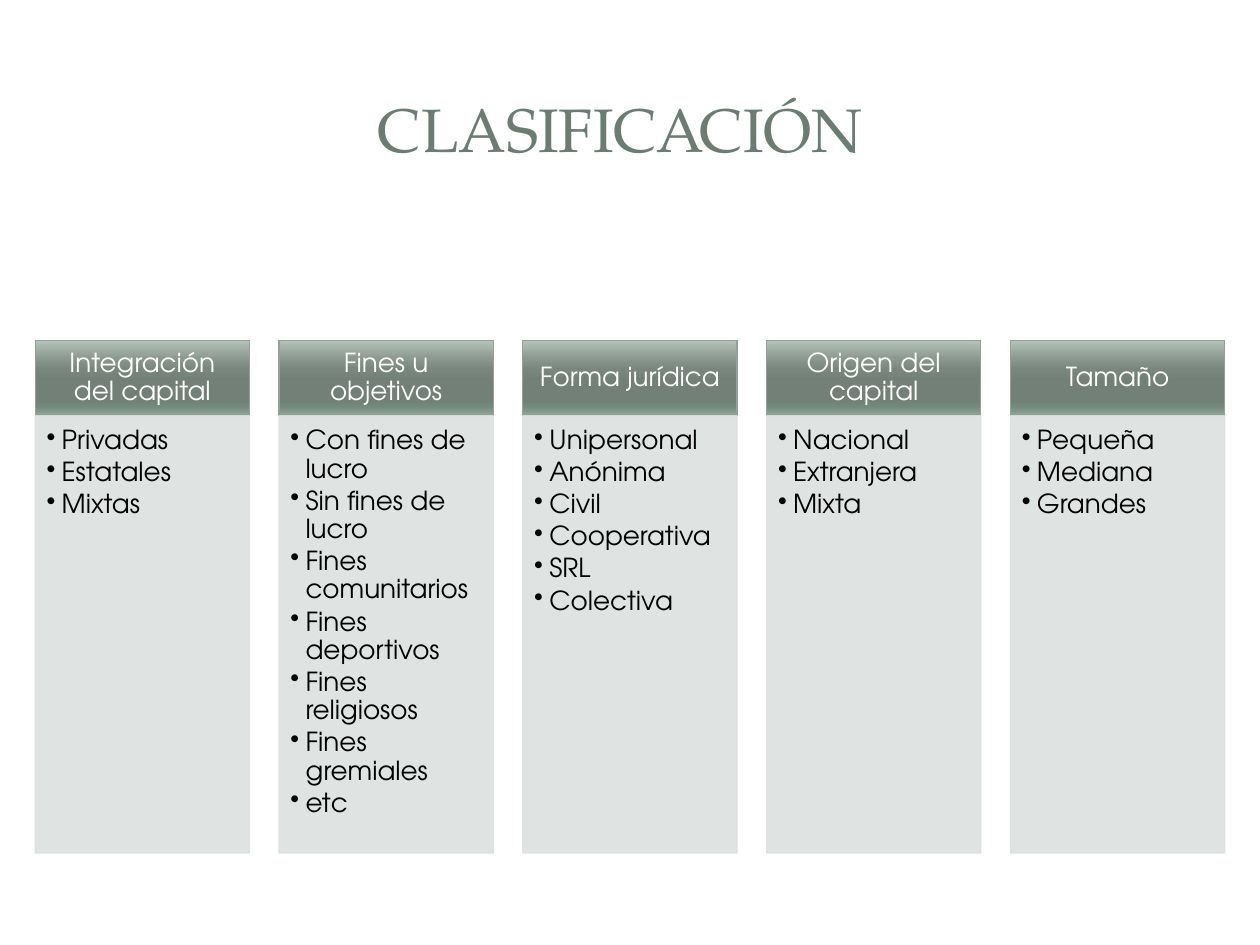
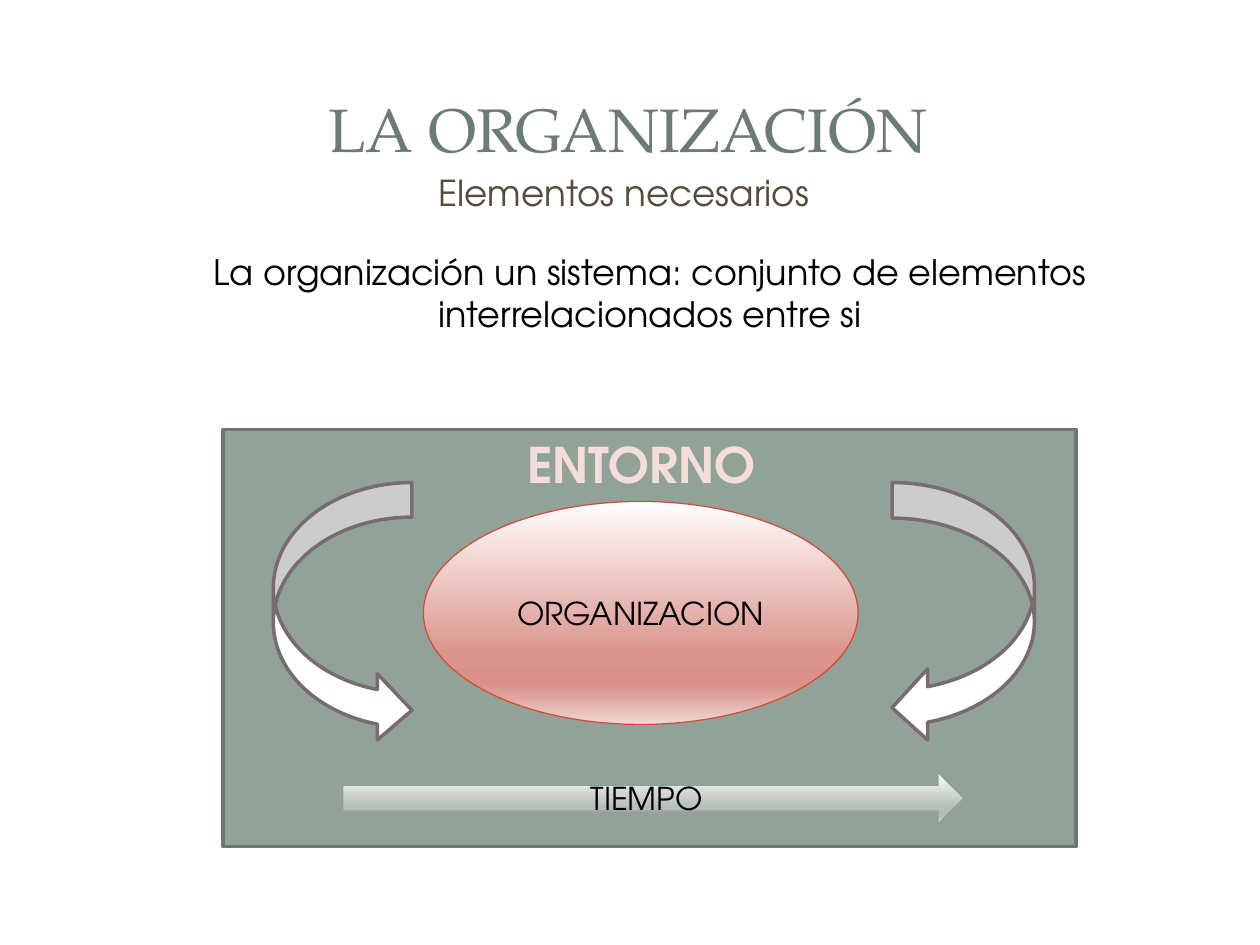
import dataclasses
import pptx
import pptx.dml.color
import pptx.enum.shapes
import pptx.enum.text
import pptx.oxml.ns
import pptx.util
from lxml import etree

Inches = pptx.util.Inches
Pt = pptx.util.Pt
KIND = pptx.enum.shapes.MSO_SHAPE
ALIGN = pptx.enum.text.PP_ALIGN
ANCHOR = pptx.enum.text.MSO_ANCHOR
qn = pptx.oxml.ns.qn

SERIF = "TeX Gyre Pagella"
SANS = "TeX Gyre Adventor"
WHITE, BLACK = "FFFFFF", "000000"
GREEN, SLATE, PALE = "93A299", "6B7D72", "DCE0DE"

HEAD = ((0, "B6C3BB"), (25, "8B9890"), (38, "79867E"), (55, "728078"),
        (80, "708176"), (88, "75887C"), (100, "91A79A"))
ROSE = ((0, "FFFEFE"), (68, "DB958E"), (81, "DA918A"), (86, "DD9D97"),
        (100, "F0D7D5"))
MIST = ((0, "FEFEFE"), (68, "B4BDB7"), (81, "B1BBB5"), (86, "B9C1BC"),
        (100, "E1E4E2"))


@dataclasses.dataclass
class Box:
    left: float
    top: float
    width: float
    height: float


@dataclasses.dataclass
class Style:
    size: float
    color: str = BLACK
    font: str = SANS
    bold: bool = False
    align: ALIGN = ALIGN.CENTER
    anchor: ANCHOR = ANCHOR.TOP
    inset: tuple[float, float, float, float] = (0.1, 0.05, 0.1, 0.05)
    lead: float = 1.0
    before: float = 0
    after: float = 0
    indent: float = 0
    bullet: bool = False


@dataclasses.dataclass
class Column:
    head: str
    items: list[str]


TITLE = Style(35, SLATE, SERIF, anchor=ANCHOR.MIDDLE)
LABEL = Style(18, anchor=ANCHOR.MIDDLE)
TOP = Style(15, WHITE, anchor=ANCHOR.MIDDLE, inset=(0.12, 0.07, 0.12, 0.07), lead=0.9)
LIST = Style(15, align=ALIGN.LEFT, inset=(0.09, 0.09, 0.12, 0.13), lead=0.9,
             after=2.1, indent=0.12, bullet=True)

COLUMNS = [
    Column("Integración del capital", ["Privadas", "Estatales", "Mixtas"]),
    Column("Fines u objetivos", [
        "Con fines de lucro", "Sin fines de lucro", "Fines comunitarios",
        "Fines deportivos", "Fines religiosos", "Fines gremiales", "etc"]),
    Column("Forma jurídica", ["Unipersonal", "Anónima", "Civil", "Cooperativa",
                              "SRL", "Colectiva"]),
    Column("Origen del capital", ["Nacional", "Extranjera", "Mixta"]),
    Column("Tamaño", ["Pequeña", "Mediana", "Grandes"]),
]


def rgb(code: str) -> pptx.dml.color.RGBColor:
    return pptx.dml.color.RGBColor.from_string(code)


def place(box: Box) -> tuple:
    return tuple(Inches(n) for n in dataclasses.astuple(box))


def write(shape, lines: list[str], style: Style) -> None:
    frame = shape.text_frame
    frame.text = "\n".join(lines)
    frame.word_wrap = True
    frame.vertical_anchor = style.anchor
    (frame.margin_left, frame.margin_top,
     frame.margin_right, frame.margin_bottom) = map(Inches, style.inset)
    for para in frame.paragraphs:
        para.alignment = style.align
        para.line_spacing = style.lead
        para.space_before = Pt(style.before)
        para.space_after = Pt(style.after)
        props = para._p.get_or_add_pPr()
        if style.indent:
            props.set("marL", str(Inches(style.indent)))
        if style.bullet:
            props.set("indent", str(-Inches(style.indent)))
            etree.SubElement(props, qn("a:buChar"), char="•")
        for run in para.runs:
            run.font.name = style.font
            run.font.size = Pt(style.size)
            run.font.bold = style.bold
            run.font.color.rgb = rgb(style.color)


def add_text(slide, box: Box, text: str, style: Style) -> None:
    write(slide.shapes.add_textbox(*place(box)), [text], style)


def blend(fill, stops: tuple) -> None:
    fill.gradient()
    fill.gradient_angle = 270
    grad = fill._xPr.find(qn("a:gradFill")).find(qn("a:gsLst"))
    for old in list(grad):
        grad.remove(old)
    for spot, code in stops:
        stop = etree.SubElement(grad, qn("a:gs"), pos=str(spot * 1000))
        etree.SubElement(stop, qn("a:srgbClr"), val=code)


def add_shape(slide, kind: KIND, box: Box, fill: str | tuple, edge: str,
              weight: float = 0.75):
    shape = slide.shapes.add_shape(kind, *place(box))
    shape.shadow.inherit = False
    if isinstance(fill, str):
        shape.fill.solid()
        shape.fill.fore_color.rgb = rgb(fill)
    else:
        blend(shape.fill, fill)
    shape.line.color.rgb = rgb(edge)
    shape.line.width = Pt(weight)
    return shape


def fade(shape, share: int) -> None:
    for color in shape.element.spPr.iter(qn("a:srgbClr")):
        etree.SubElement(color, qn("a:alpha"), val=str(share * 1000))


def add_slide(deck, title: str):
    slide = deck.slides.add_slide(deck.slide_layouts[6])
    slide.background.fill.solid()
    slide.background.fill.fore_color.rgb = rgb(WHITE)
    add_text(slide, Box(0.47, 0.45, 9.03, 1.14), title, TITLE)
    return slide


def draw_types(deck) -> None:
    slide = add_slide(deck, "CLASIFICACIÓN ")
    left, step, width = 0.28, 1.935, 1.7
    for i, col in enumerate(COLUMNS):
        x = left + i * step
        head = add_shape(slide, KIND.RECTANGLE, Box(x, 2.7, width, 0.6), HEAD, GREEN)
        write(head, [col.head], TOP)
        body = add_shape(slide, KIND.RECTANGLE, Box(x, 3.3, width, 3.47), PALE, PALE)
        fade(body, 90)
        write(body, col.items, LIST)


def draw_system(deck) -> None:
    slide = add_slide(deck, "LA ORGANIZACIÓN")
    add_shape(slide, KIND.RECTANGLE, Box(1.77, 3.41, 6.77, 3.31), GREEN, "6D7871", 2)
    arrows = [add_shape(slide, KIND.CURVED_LEFT_ARROW, Box(x, 3.83, width, 2.07),
                        WHITE, "786C71", 2)
              for x, width in ((7.08, 1.13), (2.17, 1.1))]
    arrows[1].adjustments[1] = 0.478
    arrows[1].element.spPr.xfrm.set("flipH", "1")
    core = add_shape(slide, KIND.OVAL, Box(3.36, 3.98, 3.45, 1.77), ROSE, "CE503A")
    write(core, ["ORGANIZACION"], LABEL)
    time = add_shape(slide, KIND.RIGHT_ARROW, Box(2.72, 6.13, 4.93, 0.41), MIST, "8F9F96")
    write(time, ["TIEMPO"], LABEL)
    add_text(slide, Box(2.95, 1.31, 3.78, 0.44), "Elementos necesarios",
             Style(20.4, "564B3C", align=ALIGN.LEFT, before=4, indent=0.43))
    add_text(slide, Box(3.69, 3.4, 2.8, 0.57), "ENTORNO", Style(28, "F5DDD9", bold=True))
    add_text(slide, Box(0.91, 1.94, 8.5, 0.77),
             "La organización un sistema: conjunto de elementos interrelacionados entre si",
             Style(20))


def main() -> None:
    deck = pptx.Presentation()
    deck.slide_width = Inches(10)
    deck.slide_height = Inches(7.5)
    draw_types(deck)
    draw_system(deck)
    deck.save("out.pptx")


if __name__ == "__main__":
    main()
